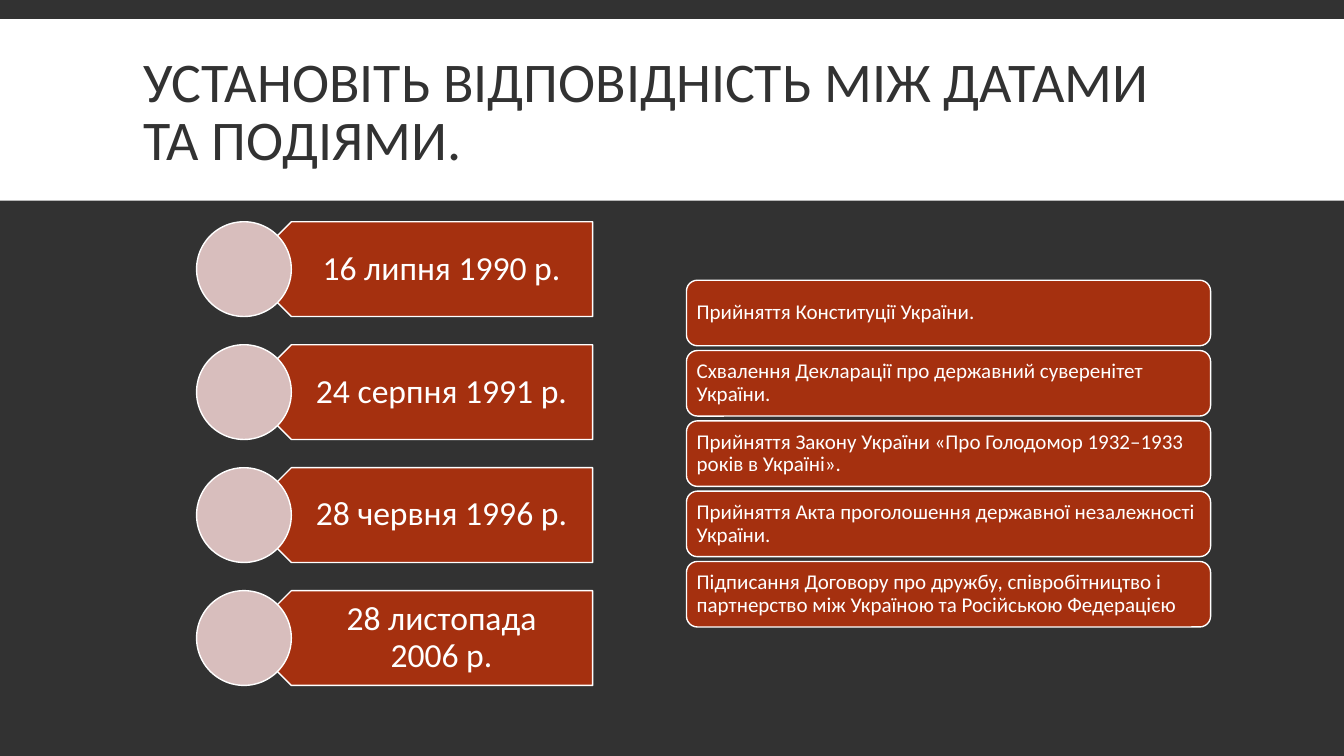
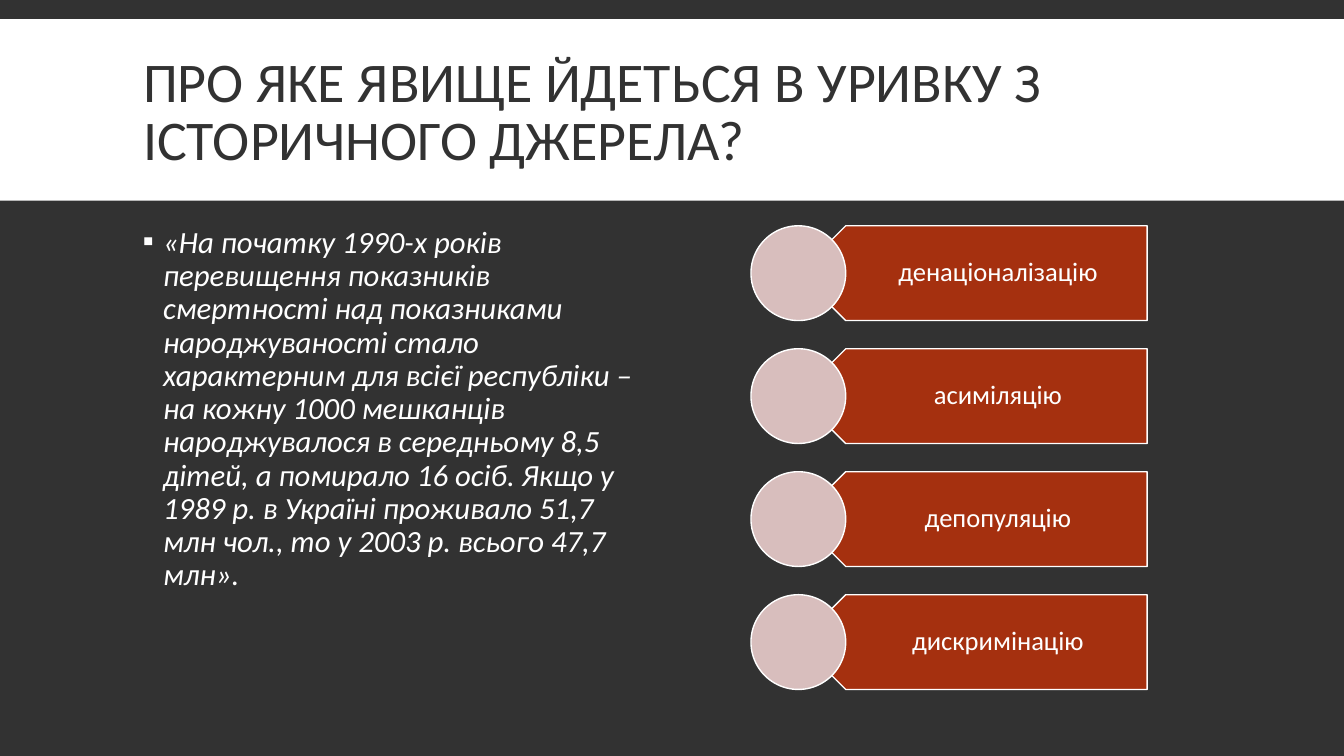
from dataclasses import dataclass

import pptx
import pptx.dml.color
import pptx.enum.shapes
import pptx.enum.text
import pptx.oxml.ns
import pptx.shapes.autoshape
import pptx.shapes.base
import pptx.slide
import pptx.text.text
import pptx.util
from lxml import etree

CHARCOAL = pptx.dml.color.RGBColor(0x32, 0x32, 0x32)
WHITE = pptx.dml.color.RGBColor(0xFF, 0xFF, 0xFF)
RUST = pptx.dml.color.RGBColor(0xA5, 0x30, 0x0F)
BLUSH = pptx.dml.color.RGBColor(0xD8, 0xBE, 0xBD)

FONT = "Calibri"
WIDTH = pptx.util.Inches(13.33)
HEIGHT = pptx.util.Inches(7.5)
COLUMNS, ROWS = 200, 150

SHAPE = pptx.enum.shapes.MSO_SHAPE
ANCHOR = pptx.enum.text.MSO_ANCHOR
ALIGN = pptx.enum.text.PP_ALIGN


@dataclass(frozen=True)
class Area:
    column: float
    row: float
    columns: float
    rows: float

    def emu(self) -> tuple[int, int, int, int]:
        return (
            round(self.column * WIDTH / COLUMNS),
            round(self.row * HEIGHT / ROWS),
            round(self.columns * WIDTH / COLUMNS),
            round(self.rows * HEIGHT / ROWS),
        )


@dataclass(frozen=True)
class TextStyle:
    size: float
    color: pptx.dml.color.RGBColor = WHITE
    italic: bool = False
    align: ALIGN = ALIGN.LEFT
    anchor: ANCHOR = ANCHOR.MIDDLE
    spacing: float = 0.9
    insets: tuple[float, float, float, float] = (0.1, 0.05, 0.1, 0.05)


@dataclass(frozen=True)
class OptionList:
    column: float
    row: float
    style: TextStyle
    labels: tuple[str, ...]


BAND = Area(0, 3.8, COLUMNS, 36)
TITLE = Area(19.8, 6.2, 160.5, 33)
QUOTE = Area(19.8, 44, 78, 92)
FIRST_EVENT = Area(102.15, 55.6, 78, 13)
EVENT_STEP = 13.95
OPTION_STEP = 24.4
OPTION_ROWS = 18.8
DOT_COLUMNS = 14.1

TITLE_STYLE = TextStyle(40, CHARCOAL, spacing=0.85)
EVENT_STYLE = TextStyle(15, insets=(0.07, 0.06, 0.07, 0.06))
QUOTE_STYLE = TextStyle(22, italic=True, anchor=ANCHOR.TOP)

DATES = OptionList(
    29.25, 44,
    TextStyle(24, align=ALIGN.CENTER, insets=(0.41, 0.1, 0.19, 0.1)),
    ("16 липня 1990 р.", "24 серпня 1991 р.", "28 червня 1996 р.", "28 листопада 2006 р."),
)
PHENOMENA = OptionList(
    111.75, 44.8,
    TextStyle(19, align=ALIGN.CENTER, insets=(0.41, 0.08, 0.15, 0.08)),
    ("денаціоналізацію", "асиміляцію", "депопуляцію", "дискримінацію"),
)
EVENTS = (
    "Прийняття Конституції України.",
    "Схвалення Декларації про державний суверенітет України.",
    "Прийняття Закону України «Про Голодомор 1932–1933 років в Україні».",
    "Прийняття Акта проголошення державної незалежності України.",
    "Підписання Договору про дружбу, співробітництво і партнерство між Україною "
    "та Російською Федерацією",
)
QUOTE_TEXT = (
    "«На початку 1990-х років перевищення показників смертності над показниками "
    "народжуваності стало характерним для всієї республіки – на кожну 1000 мешканців "
    "народжувалося в середньому 8,5 дітей, а помирало 16 осіб. Якщо у 1989 р. в Україні "
    "проживало 51,7 млн чол., то у 2003 р. всього 47,7 млн»."
)


def write(frame: pptx.text.text.TextFrame, text: str, style: TextStyle, bullet: str = "") -> None:
    frame.word_wrap = True
    frame.auto_size = pptx.enum.text.MSO_AUTO_SIZE.NONE
    frame.vertical_anchor = style.anchor
    frame.margin_left, frame.margin_top, frame.margin_right, frame.margin_bottom = map(
        pptx.util.Inches, style.insets
    )
    paragraph = frame.paragraphs[0]
    paragraph.alignment = style.align
    paragraph.line_spacing = style.spacing
    if bullet:
        add_bullet(paragraph, bullet)
    run = paragraph.add_run()
    run.text = text
    run.font.name = FONT
    run.font.size = pptx.util.Pt(style.size)
    run.font.italic = style.italic
    run.font.color.rgb = style.color


def add_bullet(paragraph: pptx.text.text._Paragraph, symbol: str) -> None:
    qn = pptx.oxml.ns.qn
    properties = paragraph._p.get_or_add_pPr()
    hanging = pptx.util.Inches(0.2)
    properties.set("marL", str(hanging))
    properties.set("indent", str(-hanging))
    color = etree.SubElement(properties, qn("a:buClr"))
    etree.SubElement(color, qn("a:srgbClr"), val=str(WHITE))
    etree.SubElement(properties, qn("a:buFont"), typeface=FONT)
    etree.SubElement(properties, qn("a:buChar"), char=symbol)


def add_figure(
    shapes: pptx.shapes.base.BaseShape,
    kind: SHAPE,
    area: Area,
    fill: pptx.dml.color.RGBColor,
    outlined: bool = True,
) -> pptx.shapes.autoshape.Shape:
    figure = shapes.add_shape(kind, *area.emu())
    figure.shadow.inherit = False
    figure.fill.solid()
    figure.fill.fore_color.rgb = fill
    if outlined:
        figure.line.color.rgb = WHITE
        figure.line.width = pptx.util.Pt(1)
    else:
        figure.line.fill.background()
    return figure


def add_options(slide: pptx.slide.Slide, options: OptionList) -> None:
    shapes = slide.shapes.add_group_shape().shapes
    for index, label in enumerate(options.labels):
        row = options.row + index * OPTION_STEP
        plate = Area(options.column + DOT_COLUMNS / 2, row, 51.9, OPTION_ROWS)
        caption = Area(options.column + 10.65, row, 48.3, OPTION_ROWS)
        dot = Area(options.column, row, DOT_COLUMNS, OPTION_ROWS)
        add_figure(shapes, SHAPE.PENTAGON, plate, RUST).rotation = 180
        write(shapes.add_textbox(*caption.emu()).text_frame, label, options.style)
        add_figure(shapes, SHAPE.OVAL, dot, BLUSH)


def add_events(slide: pptx.slide.Slide) -> None:
    shapes = slide.shapes.add_group_shape().shapes
    first = FIRST_EVENT
    for index, event in enumerate(EVENTS):
        area = Area(first.column, first.row + index * EVENT_STEP, first.columns, first.rows)
        card = add_figure(shapes, SHAPE.ROUNDED_RECTANGLE, area, RUST)
        write(card.text_frame, event, EVENT_STYLE)


def add_titled_slide(
    deck: pptx.presentation.Presentation, layout: pptx.slide.SlideLayout, heading: str
) -> pptx.slide.Slide:
    slide = deck.slides.add_slide(layout)
    title = slide.shapes.title
    title.left, title.top, title.width, title.height = TITLE.emu()
    write(title.text_frame, heading, TITLE_STYLE)
    return slide


def style_layout(layout: pptx.slide.SlideLayout, slide: pptx.slide.Slide) -> None:
    background = layout.slide_master.background.fill
    background.solid()
    background.fore_color.rgb = CHARCOAL
    band = add_figure(slide.shapes, SHAPE.RECTANGLE, BAND, WHITE, outlined=False)
    layout.placeholders[0].element.addprevious(band.element)


def main() -> None:
    deck = pptx.Presentation()
    deck.slide_width, deck.slide_height = WIDTH, HEIGHT
    layout = deck.slide_layouts.get_by_name("Title Only")

    matching = add_titled_slide(deck, layout, "УСТАНОВІТЬ ВІДПОВІДНІСТЬ МІЖ ДАТАМИ ТА ПОДІЯМИ.")
    style_layout(layout, matching)
    add_options(matching, DATES)
    add_events(matching)

    source = add_titled_slide(deck, layout, "ПРО ЯКЕ ЯВИЩЕ ЙДЕТЬСЯ В УРИВКУ З ІСТОРИЧНОГО ДЖЕРЕЛА?")
    quote = source.shapes.add_textbox(*QUOTE.emu())
    write(quote.text_frame, QUOTE_TEXT, QUOTE_STYLE, bullet="▪")
    add_options(source, PHENOMENA)

    deck.save("out.pptx")


if __name__ == "__main__":
    main()
